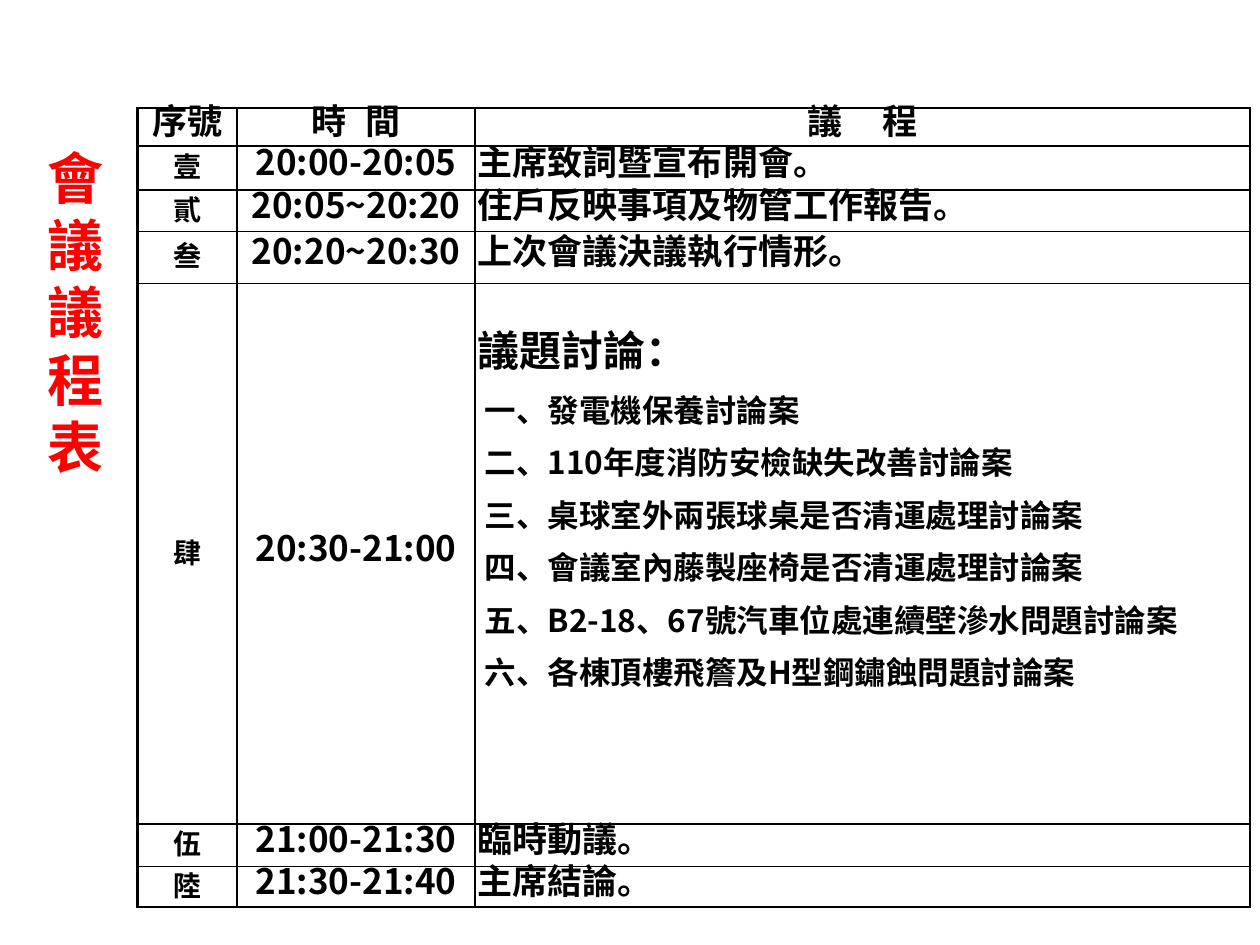
from lxml.etree import SubElement
from pptx import Presentation
from pptx.dml.color import RGBColor
from pptx.enum.text import MSO_ANCHOR, PP_ALIGN
from pptx.oxml import parse_xml
from pptx.oxml.ns import nsdecls, qn
from pptx.util import Cm, Pt

CJK_FONT = "Noto Sans CJK SC"
LATIN_FONT = "Times New Roman"


def add_text(paragraph, text, size, font=CJK_FONT, color="000000", spacing=0):
    run = paragraph.add_run()
    run.text = text
    run.font.size = Pt(size)
    run.font.bold = True
    run.font.name = font
    run.font.color.rgb = RGBColor.from_string(color)
    properties = run.font._element
    SubElement(properties, qn("a:ea")).set("typeface", CJK_FONT)
    if spacing:
        properties.set("spc", str(spacing * 100))


def set_borders(cell, widths):
    properties = cell._tc.get_or_add_tcPr()
    for index, (side, width) in enumerate(zip("LRTB", widths)):
        properties.insert(index, parse_xml(
            f'<a:ln{side} {nsdecls("a")} w="{Pt(width)}"><a:solidFill>'
            f'<a:srgbClr val="000000"/></a:solidFill></a:ln{side}>'))


presentation = Presentation()
presentation.slide_width = Cm(25.4)
presentation.slide_height = Cm(19.05)
slide = presentation.slides.add_slide(presentation.slide_layouts[6])

title = slide.shapes.add_textbox(Cm(0.71), Cm(2.77), Cm(1.65), Cm(7.87)).text_frame
title.word_wrap = False
for index, character in enumerate("會議議程表"):
    paragraph = title.add_paragraph() if index else title.paragraphs[0]
    add_text(paragraph, character, 32, color="FF0000")

agenda = [
    ("序號", "時 間", "議 程"),
    ("壹", "20:00-20:05", "主席致詞暨宣布開會。"),
    ("貳", "20:05~20:20", "住戶反映事項及物管工作報告。"),
    ("叁", "20:20~20:30", "上次會議決議執行情形。"),
    ("肆", "20:30-21:00", "議題討論："),
    ("伍", "21:00-21:30", "臨時動議。"),
    ("陸", "21:30-21:40", "主席結論。"),
]
topics = [
    "一、發電機保養討論案",
    "二、110年度消防安檢缺失改善討論案",
    "三、桌球室外兩張球桌是否清運處理討論案",
    "四、會議室內藤製座椅是否清運處理討論案",
    "五、B2-18、67號汽車位處連續壁滲水問題討論案",
    "六、各棟頂樓飛簷及H型鋼鏽蝕問題討論案",
]
column_widths = [2.01, 4.8, 15.62]
row_heights = [0.76, 0.89, 0.84, 1.04, 10.9, 0.86, 0.81]
header_spacing = [0, 3, 9]
discussion_row = 4
last_row = len(agenda) - 1

table = slide.shapes.add_table(
    len(agenda), 3, Cm(2.77), Cm(2.18),
    Cm(sum(column_widths)), Cm(sum(row_heights))).table
table.first_row = False
table.horz_banding = False
for column, width in zip(table.columns, column_widths):
    column.width = Cm(width)
for row, height in zip(table.rows, row_heights):
    row.height = Cm(height)

for row, entries in enumerate(agenda):
    for column, text in enumerate(entries):
        cell = table.cell(row, column)
        cell.fill.background()
        cell.vertical_anchor = MSO_ANCHOR.MIDDLE
        cell.margin_left = cell.margin_right = Cm(0.05)
        cell.margin_top = cell.margin_bottom = 0
        set_borders(cell, [
            1.5 if column == 0 else 1, 1.5 if column == 2 else 1,
            1.5 if row == 0 else 1, 1.5 if row == last_row else 1])
        paragraph = cell.text_frame.paragraphs[0]
        if row == discussion_row and column == 2:
            cell.vertical_anchor = MSO_ANCHOR.TOP
            cell.margin_top = Cm(0.7)
            add_text(paragraph, text, 24)
            for topic in topics:
                paragraph = cell.text_frame.add_paragraph()
                paragraph.line_spacing = Pt(30)
                paragraph._p.get_or_add_pPr().set("marL", str(Cm(0.14)))
                add_text(paragraph, topic, 18)
            continue
        paragraph.line_spacing = Pt(20)
        centered = row == 0 or column < 2
        paragraph.alignment = PP_ALIGN.CENTER if centered else PP_ALIGN.LEFT
        size = 16 if row and column == 0 else 20
        font = CJK_FONT if row and column == 1 else LATIN_FONT
        add_text(paragraph, text, size, font, spacing=0 if row else header_spacing[column])

presentation.save("out.pptx")
